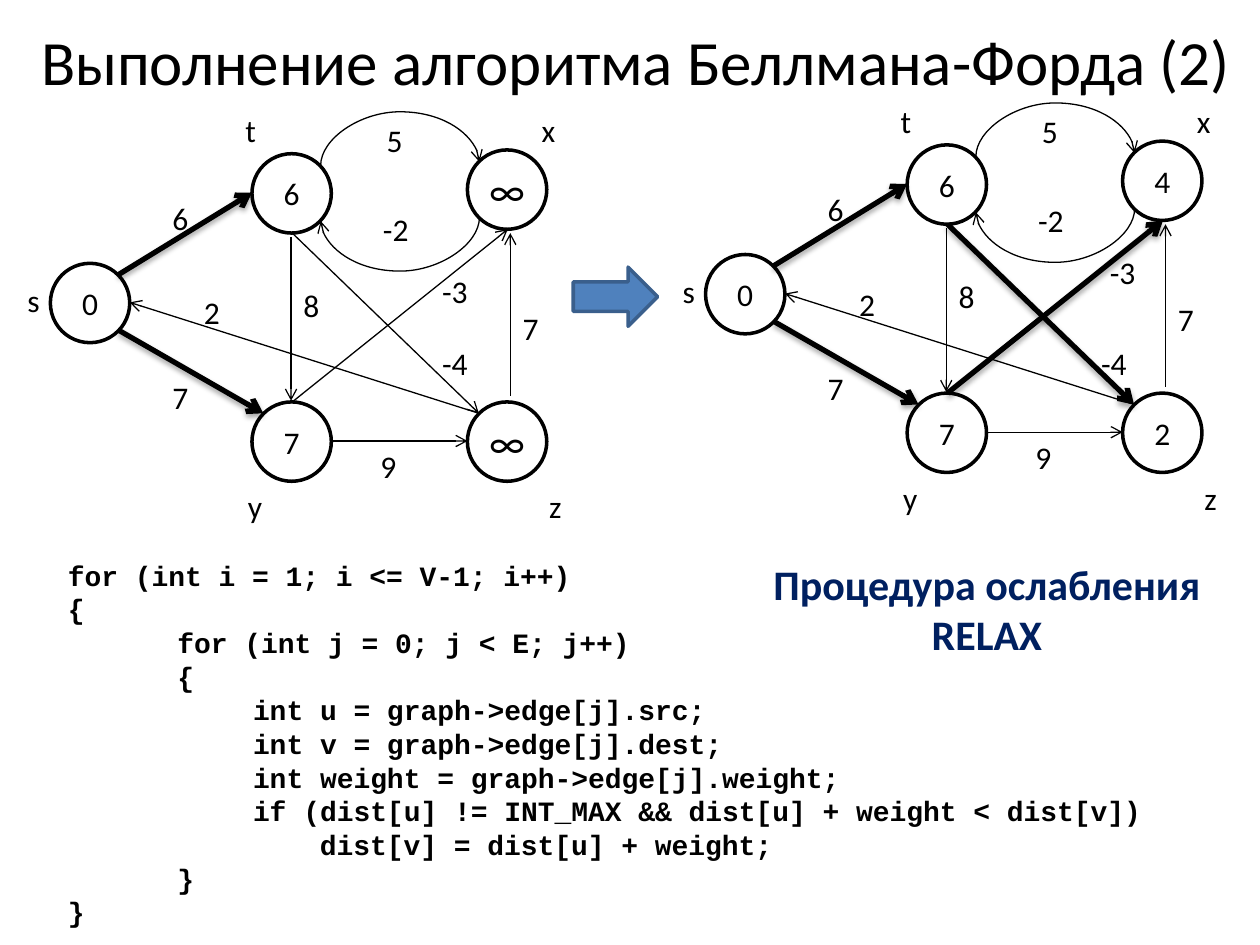
from lxml import etree
from pptx import Presentation
from pptx.dml.color import RGBColor
from pptx.enum.shapes import MSO_CONNECTOR, MSO_SHAPE
from pptx.enum.text import MSO_ANCHOR, MSO_AUTO_SIZE, PP_ALIGN
from pptx.oxml.ns import qn
from pptx.util import Inches, Pt

STRAIGHT, CURVE = MSO_CONNECTOR.STRAIGHT, MSO_CONNECTOR.CURVE
OVAL, RIGHT_ARROW = MSO_SHAPE.OVAL, MSO_SHAPE.RIGHT_ARROW
TOP, MIDDLE = MSO_ANCHOR.TOP, MSO_ANCHOR.MIDDLE
FIT, NO_FIT = MSO_AUTO_SIZE.SHAPE_TO_FIT_TEXT, MSO_AUTO_SIZE.NONE
LEFT, CENTER = PP_ALIGN.LEFT, PP_ALIGN.CENTER

BLACK = RGBColor(0x00, 0x00, 0x00)
WHITE = RGBColor(0xFF, 0xFF, 0xFF)
BLUE = RGBColor(0x4F, 0x81, 0xBD)
BLUE_EDGE = RGBColor(0x3A, 0x5F, 0x8C)
NAVY = RGBColor(0x00, 0x20, 0x60)

NODE_SIZE = 0.63
NODES = {"s": (0.28, 1.26), "t": (1.88, 0.39), "y": (1.88, 2.36),
         "x": (3.59, 0.36), "z": (3.59, 2.36)}
EDGES = {
    "st": (0.82, 1.35, 1.88, 0.7),
    "sy": (0.82, 1.79, 1.97, 2.45),
    "yz": (2.51, 2.67, 3.59, 2.67),
    "yx": (2.2, 2.36, 3.91, 0.99),
    "zs": (3.68, 2.45, 0.91, 1.57),
    "ty": (2.19, 1.05, 2.19, 2.35),
    "zx": (3.93, 2.31, 3.93, 1.02),
    "tz": (2.2, 1.02, 3.68, 2.45),
}
ARCS = [(3.07, 1.1, 3.04, -0.16), (3.04, 0.28, 3.07, 1.54)]
LABELS = [
    ("6", 1.15, 0.7), ("7", 1.15, 2.12), ("5", 2.85, 0.08),
    ("9", 2.8, 2.67), ("2", 1.4, 1.45), ("7", 3.93, 1.57),
    ("8", 2.19, 1.39), ("-2", 2.82, 0.79),
    ("t", 1.73, 0), ("x", 4.08, 0), ("y", 1.75, 2.99),
    ("z", 4.14, 2.99), ("s", 0, 1.35),
]
CODE_INDENTS = [0.13, 1, 1.6, 2.13]
CODE = [
    (0, "for (int i = 1; i <= V-1; i++)"),
    (0, "{"),
    (1, "for (int j = 0; j < E; j++)"),
    (1, "{"),
    (2, "int u = graph->edge[j].src;"),
    (2, "int v = graph->edge[j].dest;"),
    (2, "int weight = graph->edge[j].weight;"),
    (2, "if (dist[u] != INT_MAX && dist[u] + weight < dist[v])"),
    (3, "dist[v] = dist[u] + weight;"),
    (1, "}"),
    (0, "}"),
]


def add_run(p, text, size, color=BLACK, font="Calibri", bold=False):
    """Add one formatted run to a paragraph."""
    r = p.add_run()
    r.text = text
    r.font.size, r.font.name, r.font.bold = Pt(size), font, bold
    r.font.color.rgb = color


def add_node(shapes, left, top, text):
    """Draw a graph vertex with its current distance."""
    s = shapes.add_shape(OVAL, Inches(left), Inches(top),
                         Inches(NODE_SIZE), Inches(NODE_SIZE))
    s.shadow.inherit = False
    s.fill.solid()
    s.fill.fore_color.rgb = WHITE
    s.line.color.rgb, s.line.width = BLACK, Pt(2)
    tf = s.text_frame
    tf.margin_left = tf.margin_right = 0
    tf.vertical_anchor = MIDDLE
    p = tf.paragraphs[0]
    p.alignment = CENTER
    add_run(p, text, 24 if text == "∞" else 18)


def add_edge(shapes, kind, ends, thick=False):
    """Draw an arrow between two points; a thick one casts a shadow."""
    c = shapes.add_connector(kind, *map(Inches, ends))
    c.line.color.rgb, c.line.width = BLACK, Pt(3 if thick else 0.75)
    etree.SubElement(c.line._get_or_add_ln(), qn("a:tailEnd"), type="arrow")
    effects = etree.SubElement(c._element.spPr, qn("a:effectLst"))
    if thick:
        shadow = etree.SubElement(effects, qn("a:outerShdw"), blurRad="40000",
                                  dist="23000", dir="5400000", rotWithShape="0")
        color = etree.SubElement(shadow, qn("a:srgbClr"), val=str(BLACK))
        etree.SubElement(color, qn("a:alpha"), val="35000")
    return c


def add_arc(shapes, ends):
    """Draw a quarter-turned curved arrow that bulges outwards."""
    spPr = add_edge(shapes, CURVE, ends)._element.spPr
    spPr.find(qn("a:xfrm")).set("rot", "5400000")
    guides = spPr.find(qn("a:prstGeom")).find(qn("a:avLst"))
    etree.SubElement(guides, qn("a:gd"), name="adj1", fmla="val 1428600")


def add_label(shapes, text, left, top):
    """Place a vertex name or an edge weight."""
    width = 0.41 if len(text) > 1 else 0.33 if text.isdigit() else 0.3
    tf = shapes.add_textbox(Inches(left), Inches(top),
                            Inches(width), Inches(0.4)).text_frame
    tf.word_wrap, tf.auto_size = False, FIT
    add_run(tf.paragraphs[0], text, 18)


def add_graph(slide, left, top, distances, thick_edges, extra_labels):
    """Draw one state of the graph from the given top left corner."""
    shapes = slide.shapes.add_group_shape().shapes

    def shift(ends):
        """Move a start and end point into the graph's box."""
        x1, y1, x2, y2 = ends
        return left + x1, top + y1, left + x2, top + y2

    for name, (x, y) in NODES.items():
        add_node(shapes, left + x, top + y, distances[name])
    for name, ends in EDGES.items():
        add_edge(shapes, STRAIGHT, shift(ends), name in thick_edges)
    for ends in ARCS:
        add_arc(shapes, shift(ends))
    for text, x, y in LABELS + extra_labels:
        add_label(shapes, text, left + x, top + y)


def add_title(slide, left, top, width, height):
    """Fill and place the title placeholder."""
    s = slide.shapes.title
    s.left, s.top, s.width, s.height = map(Inches, (left, top, width, height))
    tf = s.text_frame
    tf.vertical_anchor, tf.auto_size = TOP, NO_FIT
    p = tf.paragraphs[0]
    p.alignment = CENTER
    add_run(p, "Выполнение алгоритма Беллмана-Форда (2)", 36)


def add_step_arrow(slide, left, top, width, height):
    """Draw the block arrow between the two graph states."""
    s = slide.shapes.add_shape(RIGHT_ARROW,
                               *map(Inches, (left, top, width, height)))
    s.shadow.inherit = False
    s.fill.solid()
    s.fill.fore_color.rgb = BLUE
    s.line.color.rgb, s.line.width = BLUE_EDGE, Pt(2)


def add_code(slide, left, top, width, height):
    """Write the algorithm's loop with indented lines."""
    tf = slide.shapes.add_textbox(
        *map(Inches, (left, top, width, height))).text_frame
    tf.word_wrap, tf.auto_size = True, FIT
    for i, (level, text) in enumerate(CODE):
        p = tf.add_paragraph() if i else tf.paragraphs[0]
        p.line_spacing = Pt(19.25)
        p._p.get_or_add_pPr().set("marL", str(Inches(CODE_INDENTS[level])))
        add_run(p, text, 16, font="Courier New", bold=True)


def add_caption(slide, left, top, width, height):
    """Name the relaxation procedure."""
    tf = slide.shapes.add_textbox(
        *map(Inches, (left, top, width, height))).text_frame
    tf.word_wrap, tf.auto_size = False, FIT
    p = tf.paragraphs[0]
    p.alignment = LEFT
    add_run(p, "Процедура ослабления", 24, NAVY, bold=True)
    p = tf.add_paragraph()
    p.alignment = CENTER
    add_run(p, "RELAX", 24, NAVY, bold=True)


def main():
    """Build the slide and save it."""
    prs = Presentation()
    prs.slide_width, prs.slide_height = Inches(10), Inches(7.5)
    slide = prs.slides.add_slide(prs.slide_layouts[5])
    add_title(slide, 0.2, 0.13, 9.69, 0.63)
    add_code(slide, 0.31, 4.38, 9.29, 3.06)
    add_graph(slide, 0.12, 0.83, dict(s="0", t="6", y="7", x="∞", z="∞"),
              {"st", "sy"}, [("-4", 3.29, 1.85), ("-3", 3.29, 1.28)])
    add_step_arrow(slide, 4.55, 2.12, 0.67, 0.47)
    add_caption(slide, 6.04, 4.38, 3.62, 0.91)
    add_graph(slide, 5.32, 0.76, dict(s="0", t="6", y="7", x="4", z="2"),
              {"st", "sy", "yx", "tz"},
              [("-4", 3.32, 1.92), ("-3", 3.39, 1.2)])
    prs.save("out.pptx")


if __name__ == "__main__":
    main()
